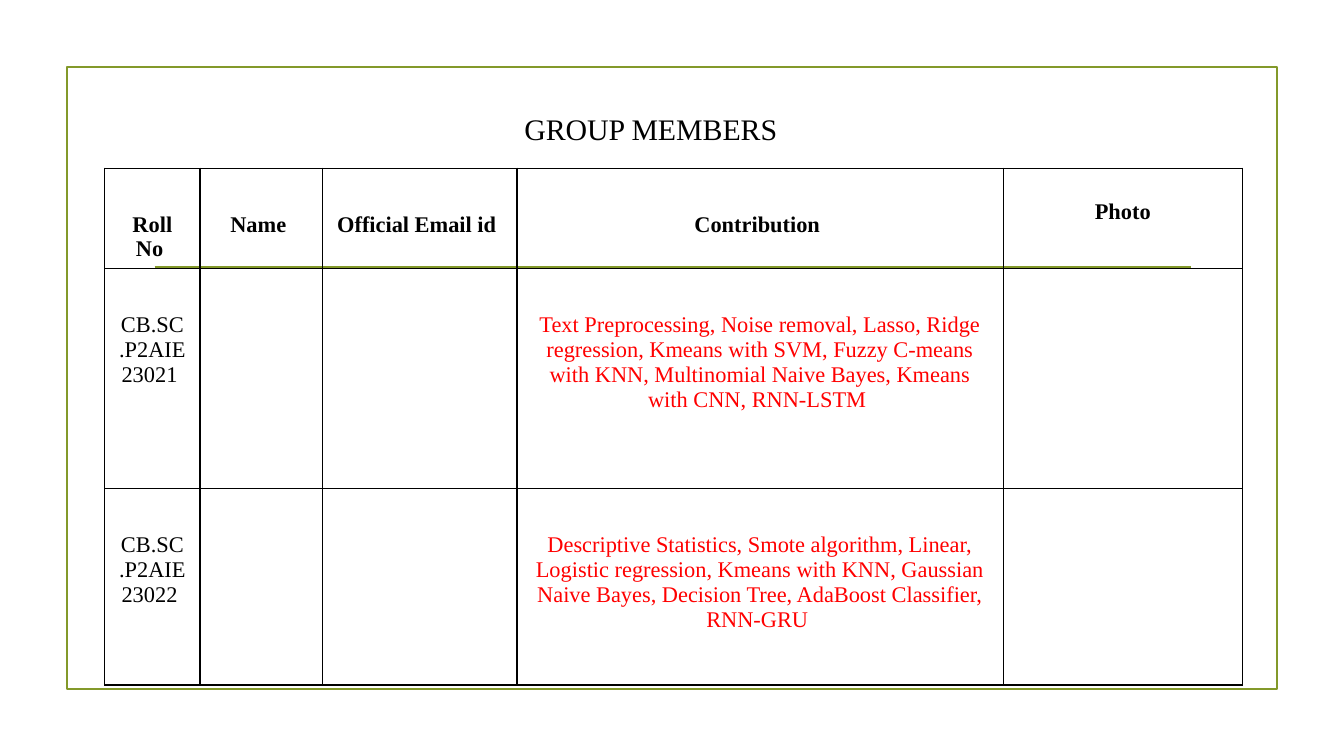
import dataclasses

import lxml.etree
import pptx
import pptx.dml.color
import pptx.enum.shapes
import pptx.enum.text
import pptx.oxml
import pptx.oxml.ns
import pptx.util

Cm = pptx.util.Cm
Pt = pptx.util.Pt
qn = pptx.oxml.ns.qn

FONT = "Times New Roman"
BLACK, RED, GREEN = "000000", "FF0000", "83992A"


@dataclasses.dataclass
class Column:
    head: str
    width: float
    top: float = 0.83
    color: str = BLACK


@dataclasses.dataclass
class Member:
    roll: str
    work: str


COLUMNS = [
    Column("Roll No ", 1.8),
    Column("Name ", 2.31),
    Column("Official Email id ", 3.68),
    Column("Contribution ", 9.19, color=RED),
    Column("Photo", 4.52, top=0.6),
]
MEMBERS = [
    Member(
        "CB.SC.P2AIE23021 ",
        "Text Preprocessing, Noise removal, Lasso, Ridge regression, "
        "Kmeans with SVM, Fuzzy C-means with KNN, Multinomial Naive Bayes, "
        "Kmeans with CNN, RNN-LSTM ",
    ),
    Member(
        "CB.SC.P2AIE23022 ",
        "Descriptive Statistics, Smote algorithm, Linear, Logistic regression, "
        "Kmeans with KNN, Gaussian Naive Bayes, Decision Tree, "
        "AdaBoost Classifier, RNN-GRU ",
    ),
]
HEIGHTS = [1.89, 4.16, 3.71]


def paint(color: str) -> pptx.dml.color.RGBColor:
    return pptx.dml.color.RGBColor.from_string(color)


def write(frame, text: str, *, size: float = 12, color: str = BLACK,
          bold: bool = False) -> None:
    frame.word_wrap = True
    par = frame.paragraphs[0]
    par.alignment = pptx.enum.text.PP_ALIGN.CENTER
    run = par.add_run()
    run.text = text
    run.font.name = FONT
    run.font.size = Pt(size)
    run.font.bold = bold
    run.font.color.rgb = paint(color)


def stroke(line) -> None:
    line.color.rgb = paint(GREEN)
    line.width = Pt(1.25)


def edge(cell) -> None:
    """Give all four sides of the cell a thin black border."""
    props = cell._tc.get_or_add_tcPr()
    for place, side in enumerate(("lnL", "lnR", "lnT", "lnB")):
        line = pptx.oxml.parse_xml(
            f'<a:{side} {pptx.oxml.ns.nsdecls("a")} w="{Pt(0.75)}">'
            f'<a:solidFill><a:srgbClr val="{BLACK}"/></a:solidFill></a:{side}>'
        )
        props.insert(place, line)


def add_frame(slide) -> None:
    rect = slide.shapes.add_shape(
        pptx.enum.shapes.MSO_SHAPE.RECTANGLE,
        Cm(1.27), Cm(1.27), Cm(22.86), Cm(11.76))
    rect.shadow.inherit = False
    rect.fill.background()
    stroke(rect.line)
    rule = slide.shapes.add_connector(
        pptx.enum.shapes.MSO_CONNECTOR.STRAIGHT,
        Cm(2.92), Cm(5.05), Cm(22.5), Cm(5.05))
    stroke(rule.line)
    lxml.etree.SubElement(rule._element.spPr, qn("a:effectLst"))


def add_title(slide, text: str) -> None:
    title = slide.shapes.title
    title.left, title.top = Cm(7.37), Cm(1.96)
    title.width, title.height = Cm(9.86), Cm(0.94)
    frame = title.text_frame
    frame.vertical_anchor = pptx.enum.text.MSO_ANCHOR.MIDDLE
    write(frame, text, size=16)


def add_members(slide) -> None:
    table = slide.shapes.add_table(
        len(HEIGHTS), len(COLUMNS), Cm(1.98), Cm(3.18),
        Cm(sum(col.width for col in COLUMNS)), Cm(sum(HEIGHTS))).table
    table.first_row = table.horz_banding = False
    for row, height in zip(table.rows, HEIGHTS):
        row.height = Cm(height)
    texts = [[col.head for col in COLUMNS]]
    texts += [[man.roll, "", "", man.work, ""] for man in MEMBERS]
    for x, col in enumerate(COLUMNS):
        table.columns[x].width = Cm(col.width)
        for y, row in enumerate(texts):
            cell = table.cell(y, x)
            cell.fill.background()
            edge(cell)
            cell.margin_top = Cm(col.top)
            if row[x]:
                head = y == 0
                write(cell.text_frame, row[x], bold=head,
                      color=BLACK if head else col.color)


def main() -> None:
    deck = pptx.Presentation()
    deck.slide_width, deck.slide_height = Cm(25.4), Cm(14.29)
    slide = deck.slides.add_slide(deck.slide_layouts[5])
    add_frame(slide)
    add_members(slide)
    add_title(slide, "GROUP MEMBERS")
    deck.save("out.pptx")


if __name__ == "__main__":
    main()
